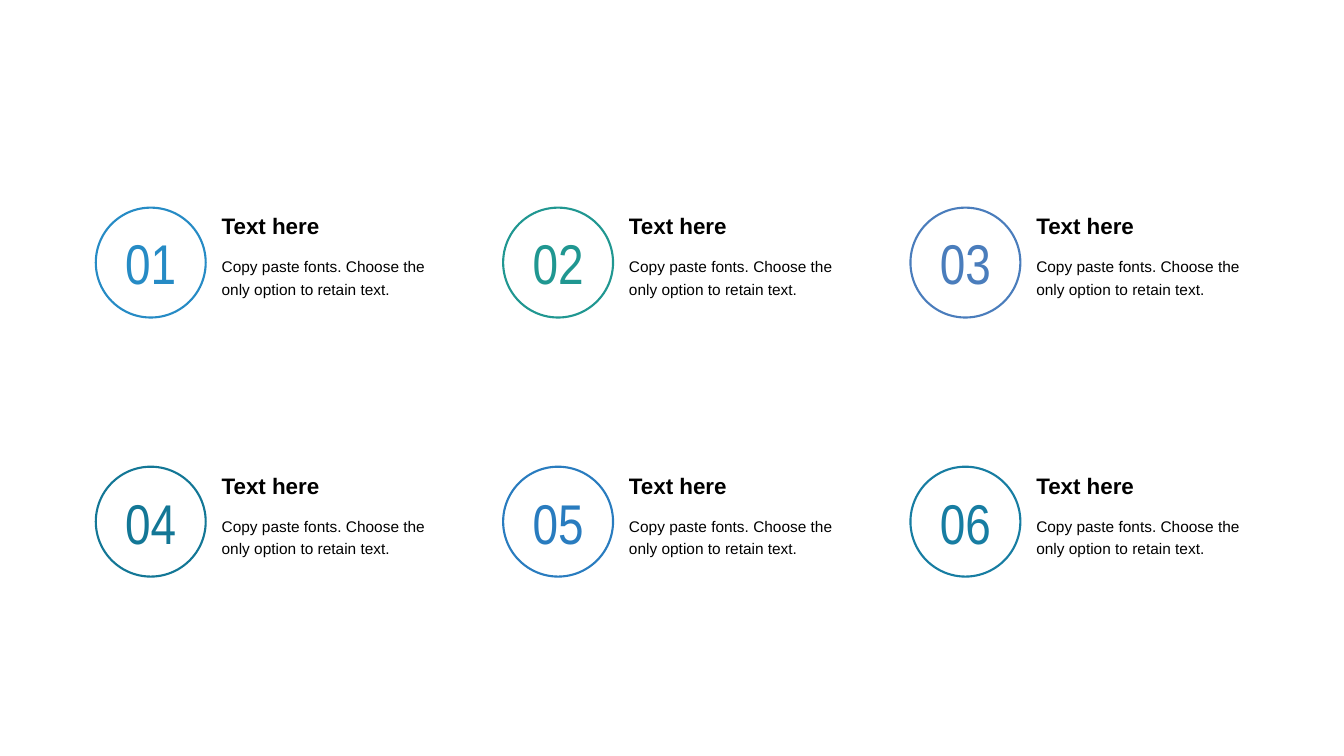
from pptx import Presentation
from pptx.dml.color import RGBColor
from pptx.enum.shapes import MSO_SHAPE as Preset
from pptx.enum.text import MSO_ANCHOR as Anchor, PP_ALIGN as Align
from pptx.util import Inches, Pt

COLORS = {
    "text": "000000",
    "01": "268BC5",
    "02": "209791",
    "03": "4A7DBC",
    "04": "137796",
    "05": "297CBF",
    "06": "177DA2",
}
FORMATS = {
    "number": {"name": "Arial Narrow", "size": Pt(40), "bold": False},
    "heading": {"name": "Arial", "size": Pt(16), "bold": True},
    "body": {"name": "Arial", "size": Pt(11), "bold": False},
}
HEADING = "Text here"
BODY = "Copy paste fonts. Choose the only option to retain text."
COLUMNS = 3
LEFT, TOP = 0.95, 2.06
COLUMN_STEP, ROW_STEP = 4.04, 2.57
CIRCLE_SIZE = 1.09
TEXT_OFFSET, TEXT_WIDTH = 1.15, 2.36


class NumberedSlide:
    """Hold the text styles and the current slide, and add its elements."""

    def __init__(self, slide, colors, formats):
        self.slide = slide
        self.colors = colors
        self.formats = formats

    def add_words(self, shape, words, style, color):
        """Put one styled paragraph in a shape and return it."""
        paragraph = shape.text_frame.paragraphs[0]
        run = paragraph.add_run()
        run.text = words
        for name, value in self.formats[style].items():
            setattr(run.font, name, value)
        run.font.color.rgb = RGBColor.from_string(self.colors[color])
        return paragraph

    def add_circle(self, group, number, left, top):
        """Add an outlined circle with a centred number."""
        size = Inches(CIRCLE_SIZE)
        shape = group.shapes.add_shape(Preset.OVAL, Inches(left), Inches(top), size, size)
        shape.shadow.inherit = False
        shape.fill.background()
        shape.line.color.rgb = RGBColor.from_string(self.colors[number])
        shape.line.width = Pt(1.5)
        shape.text_frame.word_wrap = False
        shape.text_frame.vertical_anchor = Anchor.MIDDLE
        self.add_words(shape, number, "number", number).alignment = Align.CENTER

    def add_text(self, group, words, style, left, top, height, line_spacing=1.0):
        """Add a wrapped text box."""
        shape = group.shapes.add_textbox(
            Inches(left), Inches(top), Inches(TEXT_WIDTH), Inches(height))
        shape.text_frame.word_wrap = True
        self.add_words(shape, words, style, "text").line_spacing = line_spacing

    def add_item(self, number, left, top):
        """Add a group of circle, heading and body text."""
        group = self.slide.shapes.add_group_shape()
        text_left = left + TEXT_OFFSET
        self.add_text(group, BODY, "body", text_left, top + 0.41, 0.67, 1.2)
        self.add_text(group, HEADING, "heading", text_left, top, 0.39)
        self.add_circle(group, number, left, top)


def main():
    """Build and save the presentation."""
    presentation = Presentation()
    presentation.slide_width = Inches(13.33)
    presentation.slide_height = Inches(7.5)
    blank_layout = presentation.slide_layouts[6]
    slide = NumberedSlide(presentation.slides.add_slide(blank_layout), COLORS, FORMATS)
    for index in range(6):
        row, column = divmod(index, COLUMNS)
        slide.add_item(f"{index + 1:02}", LEFT + column * COLUMN_STEP, TOP + row * ROW_STEP)
    presentation.save("out.pptx")


if __name__ == "__main__":
    main()
